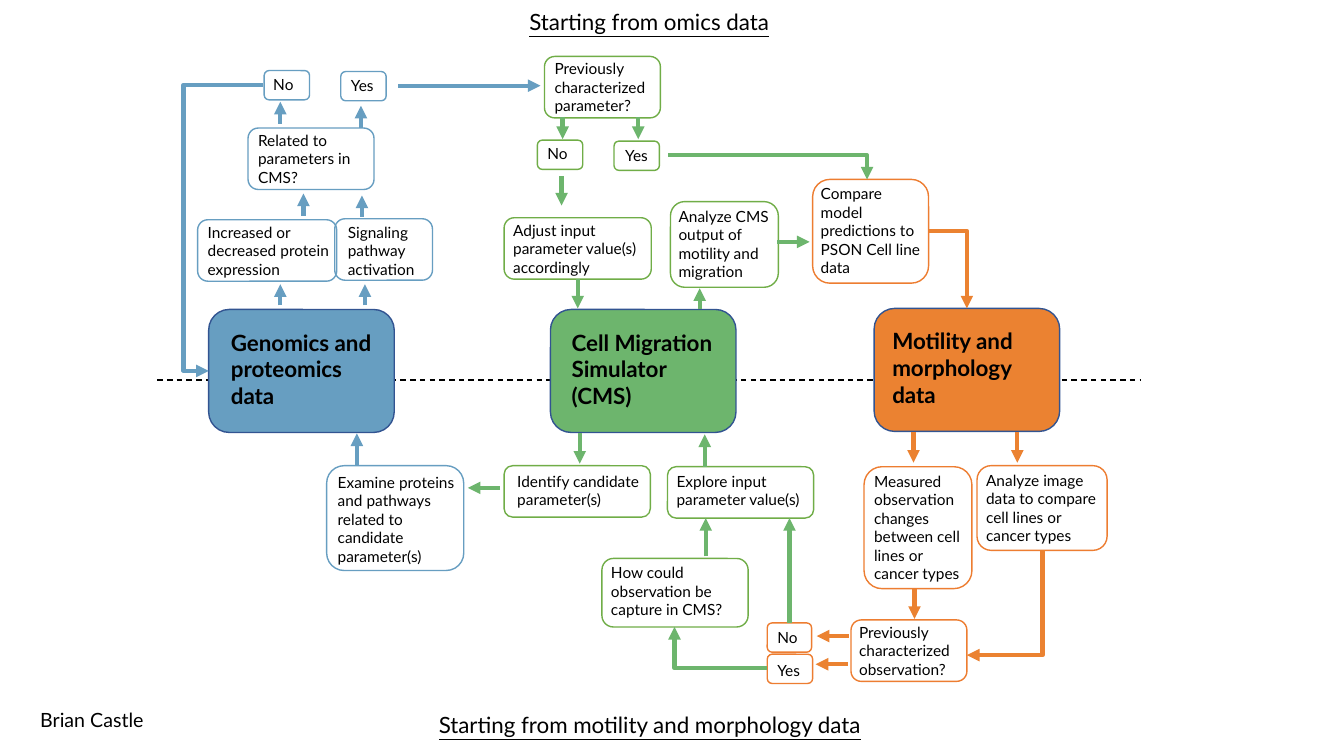
from pptx import Presentation
from pptx import util as u
from pptx.dml.color import RGBColor
from pptx.enum import dml, shapes, text
from pptx.oxml.ns import qn
from lxml import etree

PX = 9144  # EMU per px, 100 px to the inch
BLUE, GREEN, ORANGE = "679EC1", "6DB56D", "EB8231"
GREEN_EDGE, ORANGE_EDGE, HUB_EDGE = "70AD47", "ED7D31", "325491"
BLACK = "000000"
CORNER = 0.0488  # text inset of a rounded rectangle, per px of its shorter side


def px(*lengths):
    return [u.Emu(round(length * PX)) for length in lengths]


def color(value):
    return RGBColor.from_string(value)


def write(shape, content, size=11, bold=False, underline=False,
          align=text.PP_ALIGN.LEFT, anchor=text.MSO_ANCHOR.TOP,
          margins=(10, 5, 10, 5), wrap=True):
    """Fill a shape with one paragraph per line; margins are left, top, right, bottom."""
    frame = shape.text_frame
    frame.word_wrap = wrap
    frame.vertical_anchor = anchor
    (frame.margin_left, frame.margin_top,
     frame.margin_right, frame.margin_bottom) = px(*margins)
    frame.text = content
    for paragraph in frame.paragraphs:
        paragraph.alignment = align
        paragraph.line_spacing = 1.0
        paragraph.space_before = u.Pt(0)
        for run in paragraph.runs:
            font = run.font
            font.name, font.size, font.bold = "Lato", u.Pt(size), bold
            font.underline = underline
            font.color.rgb = color(BLACK)


def add_line(slide, ends, line_color, width, kind=shapes.MSO_CONNECTOR.STRAIGHT):
    connector = slide.shapes.add_connector(kind, *px(*ends))
    connector.line.color.rgb = color(line_color)
    connector.line.width = u.Pt(width)
    etree.SubElement(connector._element.spPr, qn("a:effectLst"))
    return connector


class Region:
    """Part of the flow chart, measured from the top left corner of its hub."""

    def __init__(self, slide, left, top, fill, edge):
        self.slide, self.left, self.top = slide, left, top
        self.fill, self.edge = fill, edge

    def rounded(self, box, edge):
        left, top, width, height = box
        shape = self.slide.shapes.add_shape(
            shapes.MSO_SHAPE.ROUNDED_RECTANGLE,
            *px(self.left + left, self.top + top, width, height))
        shape.shadow.inherit = False
        shape.fill.background()
        shape.line.color.rgb = color(edge)
        shape.line.width = u.Pt(1)
        return shape

    def hub(self, content, indent):
        shape = self.rounded((0, 0, 184, 122), HUB_EDGE)
        shape.fill.solid()
        shape.fill.fore_color.rgb = color(self.fill)
        write(shape, content, size=16, bold=True, anchor=text.MSO_ANCHOR.MIDDLE,
              margins=(indent - CORNER * 122, 0, 5, 4))

    def step(self, content, box, indent=10, drop=5):
        """Outlined box whose text starts indent and drop px from its corner."""
        shape = self.rounded(box, self.edge)
        inset = CORNER * min(box[2:])
        write(shape, content,
              margins=(max(0, indent - inset), max(0, drop - inset), 0, 0))
        return shape

    def arrow(self, *ends, kind=shapes.MSO_CONNECTOR.STRAIGHT, tip="tailEnd"):
        x1, y1, x2, y2 = ends
        placed = (self.left + x1, self.top + y1, self.left + x2, self.top + y2)
        connector = add_line(self.slide, placed, self.fill, 3, kind)
        etree.SubElement(connector.line._get_or_add_ln(), qn("a:" + tip), type="triangle")
        return connector

    def corner_arrow(self, *ends, tip="tailEnd"):
        """Arrow that runs level first, then upright."""
        connector = self.arrow(*ends, kind=shapes.MSO_CONNECTOR.ELBOW, tip=tip)
        connector._element.spPr.find(qn("a:prstGeom")).set("prst", "bentConnector2")

    def loop_arrow(self, *ends, bend):
        """Three-part arrow; bend is the turning point as a share of its width."""
        connector = self.arrow(*ends, kind=shapes.MSO_CONNECTOR.ELBOW)
        geometry = connector._element.spPr.find(qn("a:prstGeom"))
        guides = geometry.find(qn("a:avLst"))
        if guides is None:
            guides = etree.SubElement(geometry, qn("a:avLst"))
        etree.SubElement(guides, qn("a:gd"), name="adj1", fmla=f"val {round(bend * 100000)}")


def genomics(slide, left, top):
    region = Region(slide, left, top, BLUE, BLUE)
    region.hub("Genomics and proteomics data", 22)
    region.step("Increased or decreased protein expression", (-11, -89, 138, 61), drop=1)
    region.step("Signaling pathway activation", (125, -90, 97, 61), 13, 4)
    region.step("Related to parameters in CMS?", (39, -180, 125, 61), drop=2)
    region.step("Yes", (131, -236, 45, 29))
    region.step("No", (55, -237, 45, 29), 9)
    region.step("Examine proteins and pathways related to candidate parameter(s)",
                (117, 155, 136, 104), 11, 7)
    for x, start, end in ((71, -4, -25), (94, -93, -115), (71, -184, -206),
                          (155, -4, -25), (152, -92, -113), (151, -180, -202),
                          (147, 154, 123)):
        region.arrow(x, start, x, end)
    region.arrow(188, -222, 329, -222)
    region.loop_arrow(54, -223, 0, 61, bend=1.46)


def motility(slide, left, top):
    """Draw the region and return the No box, from which the simulator goes on."""
    region = Region(slide, left, top, ORANGE, ORANGE_EDGE)
    region.hub("Motility and morphology data", 18)
    region.step("Compare model predictions to PSON Cell line data", (-61, -128, 115, 103), 8)
    region.step("Measured observation changes between cell lines or cancer types",
                (-10, 157, 107, 121))
    region.step("Analyze image data to compare cell lines or cancer types",
                (102, 156, 129, 84), 9)
    region.step("Previously characterized observation?", (-23, 309, 115, 61), 8, 3)
    region.step("Yes", (-106, 343, 45, 29), drop=7)
    no_box = region.step("No", (-106, 312, 44, 29))
    for x, start in ((39, 123), (142, 123), (40, 278)):
        region.arrow(x, start, x, start + 30)
    for start, y in ((-25, 325), (-26, 353)):
        region.arrow(start, y, start - 32, y)
    region.corner_arrow(54, -77, 92, 0)
    region.corner_arrow(92, 344, 167, 240, tip="headEnd")
    return no_box


def simulator(slide, left, top, no_box):
    region = Region(slide, left, top, GREEN, GREEN_EDGE)
    region.hub("Cell Migration Simulator (CMS)", 21)
    region.step("Previously characterized parameter?", (-6, -251, 115, 61), drop=2)
    region.step("No", (-13, -168, 45, 29), drop=4)
    region.step("Yes", (63, -167, 45, 29), 11)
    adjust = region.step("Adjust input parameter value(s)\naccordingly",
                         (-46, -91, 146, 61), 9, 2)
    region.step("Analyze CMS output of motility and migration", (119, -107, 107, 85), 8)
    region.step("Identify candidate parameter(s)", (-46, 155, 145, 51), 13, 6)
    region.step("Explore input parameter value(s)", (116, 156, 145, 51), 9)
    region.step("How could observation be capture in CMS?", (51, 247, 145, 68), 9)
    for x, start, end in ((12, -191, -169), (87, -191, -169), (11, -132, -103),
                          (148, 0, -21), (153, 156, 124), (154, 245, 207),
                          (29, 123, 153)):
        region.arrow(x, start, x, end)
    for start, y, end in ((225, -67, 257), (-50, 177, -82)):
        region.arrow(start, y, end, y)
    region.arrow(27, -30, 27, -1).begin_connect(adjust, 2)
    region.arrow(237, 311, 237, 207).begin_connect(no_box, 0)
    region.corner_arrow(117, -153, 314, -129)
    region.corner_arrow(215, 356, 123, 315)


def headings(slide):
    title = slide.shapes.title
    title.left, title.top, title.width, title.height = px(426, 3, 436, 37)
    footer = slide.shapes.add_textbox(*px(414, 701, 461, 37))
    for shape, content in ((title, "Starting from omics data"),
                           (footer, "Starting from motility and morphology data")):
        write(shape, content, size=16, underline=True, align=text.PP_ALIGN.CENTER)
    author = slide.shapes.add_textbox(*px(30, 697, 123, 34))
    write(author, "Brian Castle", size=14, anchor=text.MSO_ANCHOR.BOTTOM, wrap=False)


def main():
    presentation = Presentation()
    presentation.slide_width, presentation.slide_height = px(1333, 750)
    slide = presentation.slides.add_slide(presentation.slide_layouts[5])
    headings(slide)
    divider = add_line(slide, (156, 377, 1132, 377), BLACK, 1)
    divider.line.dash_style = dml.MSO_LINE.DASH
    genomics(slide, 207, 307)
    no_box = motility(slide, 867, 306)
    simulator(slide, 546, 307, no_box)
    presentation.save("out.pptx")


if __name__ == "__main__":
    main()
